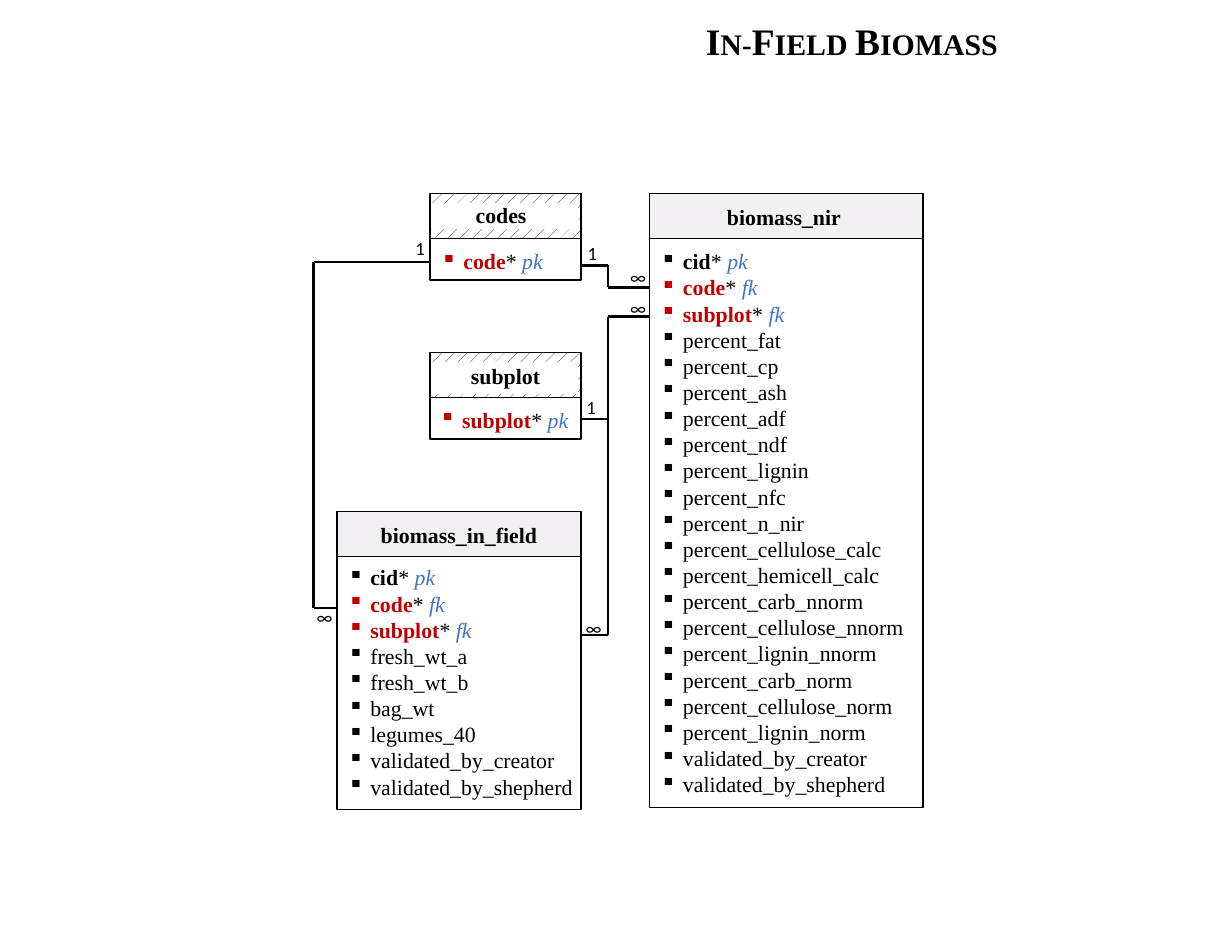
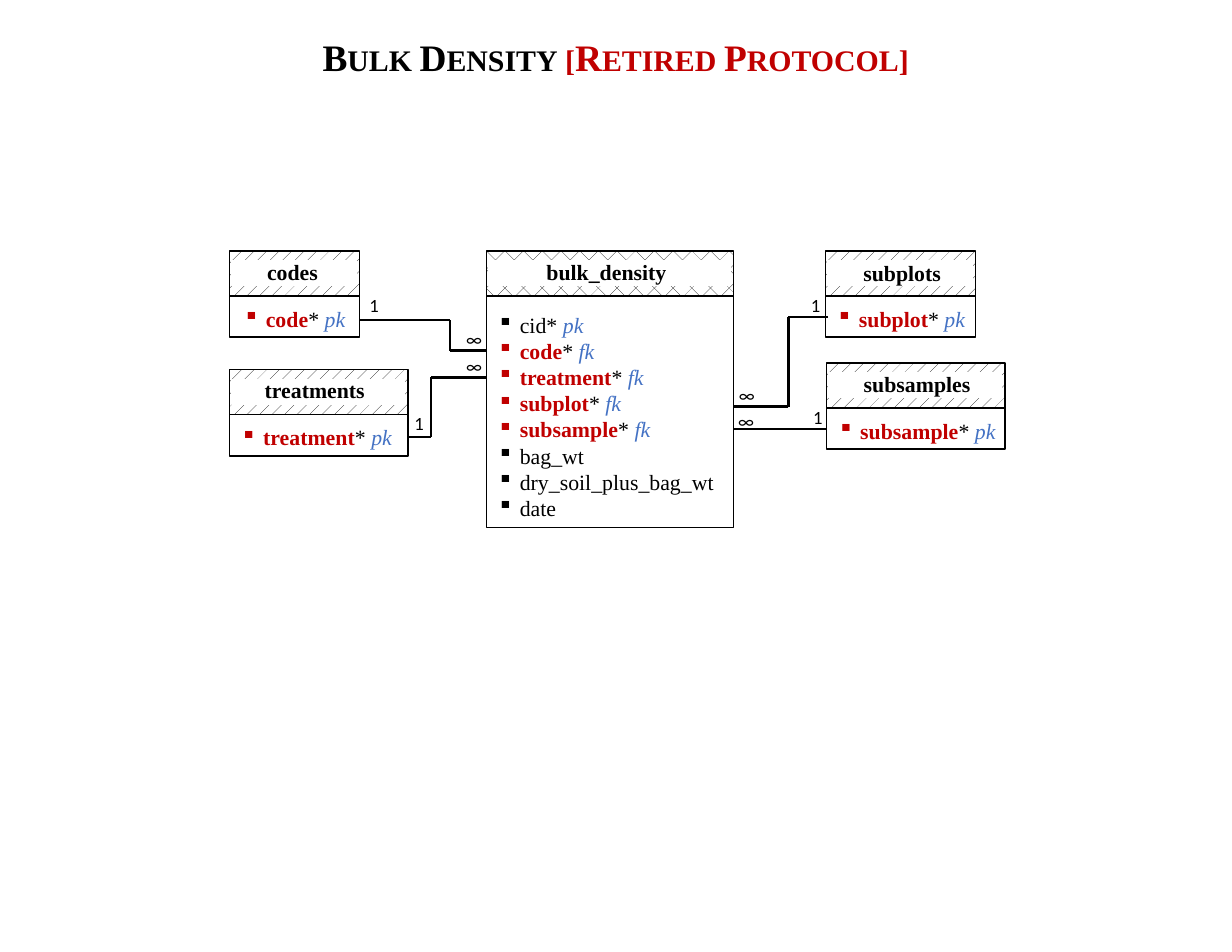
from itertools import pairwise

from lxml import etree
from pptx import Presentation
from pptx.dml.color import RGBColor
from pptx.enum.dml import MSO_PATTERN
from pptx.enum.shapes import MSO_CONNECTOR, MSO_SHAPE
from pptx.enum.text import PP_ALIGN
from pptx.oxml.ns import qn
from pptx.util import Cm, Pt

BLACK = RGBColor(0x00, 0x00, 0x00)
WHITE = RGBColor(0xFF, 0xFF, 0xFF)
RED = RGBColor(0xC0, 0x00, 0x00)
BLUE = RGBColor(0x44, 0x72, 0xC4)
LILAC = RGBColor(0xF2, 0xF0, 0xF3)

SERIF, SANS = "Times New Roman", "Calibri"
CENTER = PP_ALIGN.CENTER
RECT, STRAIGHT = MSO_SHAPE.RECTANGLE, MSO_CONNECTOR.STRAIGHT
DOTTED, BRICK = MSO_PATTERN.PERCENT_10, MSO_PATTERN.DIAGONAL_BRICK

# Lengths in cm
HEADER_H = 1.02
KEY_BODY_H = 0.94
INDENT = 0.51


# ---- Basic parts ----

def add_text_box(s, x, y, w, h):
    tf = s.shapes.add_textbox(Cm(x), Cm(y), Cm(w), Cm(h)).text_frame
    tf.word_wrap = True
    return tf


def add_run(p, text, size=14, color=BLACK, bold=False, italic=False, font=SERIF):
    r = p.add_run()
    r.text = text
    f = r.font
    f.name, f.size, f.bold, f.italic = font, Pt(size), bold, italic
    f.color.rgb = color
    return r


def add_rect(s, x, y, w, h, fill=WHITE, line=BLACK, pattern=None):
    sp = s.shapes.add_shape(RECT, Cm(x), Cm(y), Cm(w), Cm(h))
    sp.shadow.inherit = False
    if pattern is None:
        sp.fill.solid()
        sp.fill.fore_color.rgb = fill
    else:
        sp.fill.patterned()
        sp.fill.pattern = pattern
        sp.fill.fore_color.rgb = BLACK
        sp.fill.back_color.rgb = WHITE
    sp.line.color.rgb = line
    sp.line.width = Pt(1)


def set_bullet(p):
    pPr = p._p.get_or_add_pPr()
    pPr.set("marL", str(Cm(INDENT)))
    pPr.set("indent", str(-Cm(INDENT)))
    etree.SubElement(pPr, qn("a:buChar")).set("char", "▪")


# ---- Regions ----

def add_title(s, x, y, w, parts):
    p = add_text_box(s, x, y, w, 1.27).paragraphs[0]
    p.alignment = CENTER
    for text, color in parts:
        r = add_run(p, text, 24, color, bold=True)
        r.font._element.set("cap", "small")


def shared(name, key):
    """A key field that links two tables."""
    return name, key, RED, True


def add_entity(s, x, y, w, body_h, name, fields, pattern=None,
               name_shift=(0, 0.05), fields_shift=(0, 0.09), mask_h=0.56):
    # Header
    add_rect(s, x, y, w, HEADER_H, LILAC, pattern=pattern)
    if pattern is not None:
        add_rect(s, x + 0.05, y + 0.23, w - 0.13, mask_h, line=WHITE)
    dx, dy = name_shift
    p = add_text_box(s, x + dx, y + dy, w, 0.86).paragraphs[0]
    p.alignment = CENTER
    add_run(p, name, bold=True)

    # Field list
    top = y + HEADER_H
    add_rect(s, x, top, w, body_h)
    dx, dy = fields_shift
    tf = add_text_box(s, x + dx, top + dy, w + 0.5, body_h - dy)
    for i, field in enumerate(fields):
        p = tf.add_paragraph() if i else tf.paragraphs[0]
        set_bullet(p)
        if isinstance(field, str):
            add_run(p, field)
        else:
            field_name, key, color, bold = field
            add_run(p, field_name, color=color, bold=bold)
            add_run(p, "* ")
            add_run(p, key, color=BLUE, italic=True)


def add_links(s, x, y, routes):
    for route in routes:
        for (x1, y1), (x2, y2) in pairwise(route):
            c = s.shapes.add_connector(
                STRAIGHT, Cm(x + x1), Cm(y + y1), Cm(x + x2), Cm(y + y2))
            c.line.color.rgb = BLACK
            c.line.width = Pt(1.5)
            etree.SubElement(c._element.spPr, qn("a:effectLst"))


def add_marks(s, x, y, marks):
    for text, places in marks.items():
        for dx, dy in places:
            p = add_text_box(s, x + dx, y + dy, 0.9, 0.76).paragraphs[0]
            add_run(p, text, 12, font=SANS)


# ---- Diagrams ----

def draw_biomass(s, x, y):
    keys = [("cid", "pk", BLACK, True), shared("code", "fk"), shared("subplot", "fk")]
    checks = ["validated_by_creator", "validated_by_shepherd"]
    weights = ["fresh_wt_a", "fresh_wt_b", "bag_wt", "legumes_40"]
    percents = ["fat", "cp", "ash", "adf", "ndf", "lignin", "nfc", "n_nir",
                "cellulose_calc", "hemicell_calc", "carb_nnorm", "cellulose_nnorm",
                "lignin_nnorm", "carb_norm", "cellulose_norm", "lignin_norm"]

    add_entity(s, x + 2.64, y, 3.43, KEY_BODY_H, "codes", [shared("code", "pk")],
               DOTTED, name_shift=(-0.1, 0.05))
    add_entity(s, x + 2.64, y + 3.61, 3.43, KEY_BODY_H, "subplot",
               [shared("subplot", "pk")], DOTTED, name_shift=(0, 0.1),
               fields_shift=(-0.03, 0.08), mask_h=0.69)
    add_entity(s, x + 0.53, y + 7.21, 5.54, 5.74, "biomass_in_field",
               keys + weights + checks, name_shift=(0, 0.1), fields_shift=(0, 0.05))
    add_entity(s, x + 7.62, y, 6.2, 12.9, "biomass_nir",
               keys + [f"percent_{name}" for name in percents] + checks,
               name_shift=(-0.05, 0.1))

    left, right, trunk, nir = 0.53, 6.07, 6.68, 7.62
    add_links(s, x, y, [
        [(2.64, 1.55), (0, 1.55), (0, 9.4), (left, 9.4)],
        [(right, 1.63), (trunk, 1.63), (trunk, 2.13), (nir, 2.13)],
        [(nir, 2.79), (trunk, 2.79), (trunk, 10.01), (right, 10.01)],
        [(right, 5.11), (trunk, 5.11)],
    ])
    add_marks(s, x, y, {
        "1": [(2.06, 0.86), (5.97, 0.97), (5.94, 4.47)],
        "∞": [(-0.18, 9.22), (6.93, 1.52), (6.93, 2.21), (5.92, 9.47)],
    })


def draw_bulk_density(s, x, y):
    linked = ["code", "treatment", "subplot", "subsample"]
    fields = [("cid", "pk", BLACK, False)] + [shared(name, "fk") for name in linked]
    fields += ["bag_wt", "dry_soil_plus_bag_wt", "date"]

    add_entity(s, x + 5.82, y, 5.61, 5.26, "bulk_density", fields, BRICK,
               name_shift=(-0.08, 0.05), fields_shift=(0, 0.23))
    # Key tables: left, top, width, name shift, field shift
    places = [
        (0, 0, 2.95, (-0.05, 0.05), 0.06),
        (0, 2.69, 4.04, (-0.09, 0.03), 0),
        (13.51, 0, 3.4, (0.04, 0.08), 0),
        (13.54, 2.54, 4.04, (0.03, 0.05), 0),
    ]
    for name, (dx, dy, w, name_shift, field_dx) in zip(linked, places):
        add_entity(s, x + dx, y + dy, w, KEY_BODY_H, name + "s",
                   [shared(name, "pk")], DOTTED, name_shift, (field_dx, 0.09))

    left, right = 5.82, 11.43
    add_links(s, x, y, [
        [(2.95, 1.57), (5, 1.57), (5, 2.26), (left, 2.26)],
        [(4.04, 4.22), (4.57, 4.22), (4.57, 2.87), (left, 2.87)],
        [(13.56, 1.5), (12.67, 1.5), (12.67, 3.53), (right, 3.53)],
        [(13.54, 4.04), (right, 4.04)],
    ])
    add_marks(s, x, y, {
        "1": [(2.92, 0.84), (3.94, 3.53), (12.93, 0.86), (12.98, 3.4)],
        "∞": [(5.11, 1.63), (5.11, 2.24), (11.3, 2.9), (11.28, 3.48)],
    })


def main():
    prs = Presentation()
    prs.slide_width, prs.slide_height = Cm(27.94), Cm(21.59)
    blank = prs.slide_layouts[6]

    s = prs.slides.add_slide(blank)
    add_title(s, 11.51, 0.28, 15.62, [("In-Field Biomass", BLACK)])
    draw_biomass(s, 7.11, 4.39)

    s = prs.slides.add_slide(blank)
    add_title(s, 0.3, 0.66, 27.33,
              [("Bulk Density ", BLACK), ("[Retired Protocol]", RED)])
    draw_bulk_density(s, 5.21, 5.69)

    prs.save("out.pptx")


if __name__ == "__main__":
    main()
